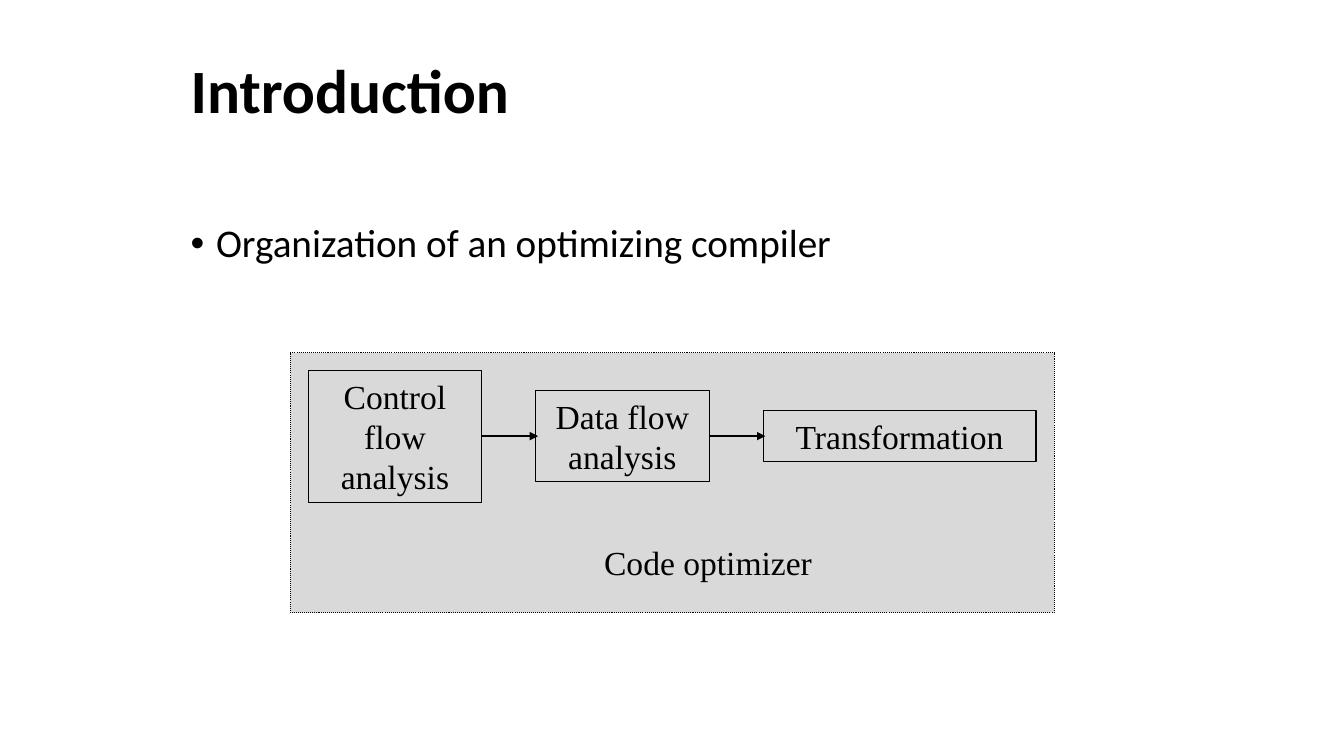
from dataclasses import dataclass

from lxml.etree import SubElement
from pptx import Presentation
from pptx.dml.color import RGBColor
from pptx.enum.dml import MSO_LINE
from pptx.enum.shapes import MSO_CONNECTOR, MSO_SHAPE
from pptx.enum.text import MSO_ANCHOR, MSO_AUTO_SIZE, PP_ALIGN
from pptx.oxml.ns import qn
from pptx.util import Cm, Pt


@dataclass(frozen=True)
class Theme:
    ink: RGBColor = RGBColor(0, 0, 0)
    panel: RGBColor = RGBColor(0xC0, 0xC0, 0xC0)
    panel_opacity: int = 59
    text_font: str = "Calibri"
    diagram_font: str = "Times New Roman"
    title_size: int = 44
    body_size: int = 28
    diagram_size: int = 24
    outline: float = 0.75
    arrow: float = 1.5


THEME = Theme()

# Text, width and height in cm
STAGES = [
    ("Control flow analysis", 4.37, 3.33),
    ("Data flow analysis", 4.37, 2.31),
    ("Transformation", 6.88, 1.3),
]


def set_font(para, name, size, bold=False):
    font = para.font
    font.name, font.size, font.bold = name, Pt(size), bold
    font.color.rgb = THEME.ink


def place(shape, left, top, width, height):
    shape.left, shape.top = Cm(left), Cm(top)
    shape.width, shape.height = Cm(width), Cm(height)


def fill_title(title, text, left, top, width, height):
    place(title, left, top, width, height)
    frame = title.text_frame
    frame.text = text
    frame.auto_size = MSO_AUTO_SIZE.NONE
    frame.vertical_anchor = MSO_ANCHOR.MIDDLE
    para = frame.paragraphs[0]
    para.alignment = PP_ALIGN.LEFT
    para.line_spacing = 0.9
    set_font(para, THEME.text_font, THEME.title_size, bold=True)


def fill_body(body, text, left, top, width, height):
    place(body, left, top, width, height)
    frame = body.text_frame
    frame.text = text
    frame.auto_size = MSO_AUTO_SIZE.NONE
    para = frame.paragraphs[0]
    properties = para._p.get_or_add_pPr()
    indent = Cm(0.64)
    properties.set("marL", str(indent))
    properties.set("indent", str(-indent))
    SubElement(properties, qn("a:buFont"), typeface="Arial")
    SubElement(properties, qn("a:buChar"), char="•")
    para.line_spacing = 0.9
    para.space_before = Pt(0)
    set_font(para, THEME.text_font, THEME.body_size)


def write_label(shape, text):
    frame = shape.text_frame
    frame.text = text
    frame.word_wrap = True
    frame.auto_size = MSO_AUTO_SIZE.SHAPE_TO_FIT_TEXT
    para = frame.paragraphs[0]
    para.alignment = PP_ALIGN.CENTER
    set_font(para, THEME.diagram_font, THEME.diagram_size)


def add_box(shapes, left, top, width, height):
    """Add an unfilled rectangle with a thin outline."""
    box = shapes.add_shape(MSO_SHAPE.RECTANGLE, Cm(left), Cm(top), Cm(width), Cm(height))
    box.shadow.inherit = False
    box.fill.background()
    box.line.color.rgb = THEME.ink
    box.line.width = Pt(THEME.outline)
    return box


def add_arrow(shapes, start, end, middle):
    arrow = shapes.add_connector(
        MSO_CONNECTOR.STRAIGHT, Cm(start), Cm(middle), Cm(end), Cm(middle)
    )
    arrow.line.color.rgb = THEME.ink
    arrow.line.width = Pt(THEME.arrow)
    SubElement(arrow.line._get_or_add_ln(), qn("a:tailEnd"), type="triangle")
    SubElement(arrow._element.spPr, qn("a:effectLst"))


def add_optimizer(page, left, top, width, height):
    """Draw the shaded panel with its chain of stages and its caption."""
    shapes = page.shapes.add_group_shape().shapes
    panel = add_box(shapes, left, top, width, height)
    panel.fill.solid()
    panel.fill.fore_color.rgb = THEME.panel
    color = panel._element.spPr.find(f"{qn('a:solidFill')}/{qn('a:srgbClr')}")
    SubElement(color, qn("a:alpha"), val=str(THEME.panel_opacity * 1000))
    panel.line.dash_style = MSO_LINE.ROUND_DOT

    margin, gap, overlap = 0.45, 1.36, 0.06
    middle = top + 2.1
    stage_left = left + margin
    for index, (text, stage_width, stage_height) in enumerate(STAGES):
        stage = add_box(
            shapes, stage_left, middle - stage_height / 2, stage_width, stage_height
        )
        write_label(stage, text)
        if index:
            add_arrow(shapes, stage_left - gap, stage_left + overlap, middle)
        stage_left += stage_width + gap

    caption = shapes.add_textbox(Cm(left + 7.31), Cm(top + 4.65), Cm(6.43), Cm(1.27))
    write_label(caption, "Code optimizer")


def main():
    deck = Presentation()
    deck.slide_width, deck.slide_height = Cm(33.87), Cm(19.05)
    page = deck.slides.add_slide(deck.slide_layouts[1])
    fill_title(page.shapes.title, "Introduction", 4.55, 0.76, 23.39, 3.18)
    fill_body(
        page.placeholders[1], "Organization of an optimizing compiler",
        4.55, 5.51, 24.77, 1.6,
    )
    add_optimizer(page, 7.32, 8.89, 19.25, 6.55)
    deck.save("out.pptx")


if __name__ == "__main__":
    main()
